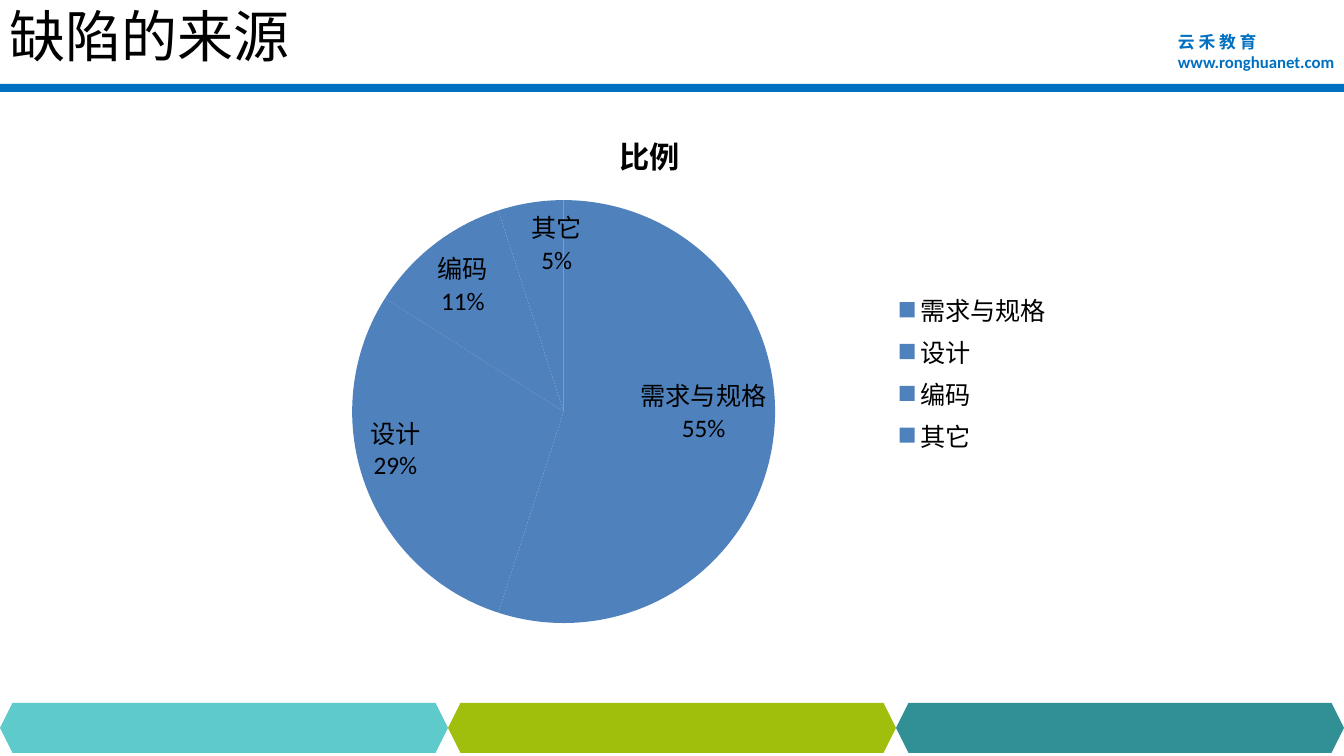
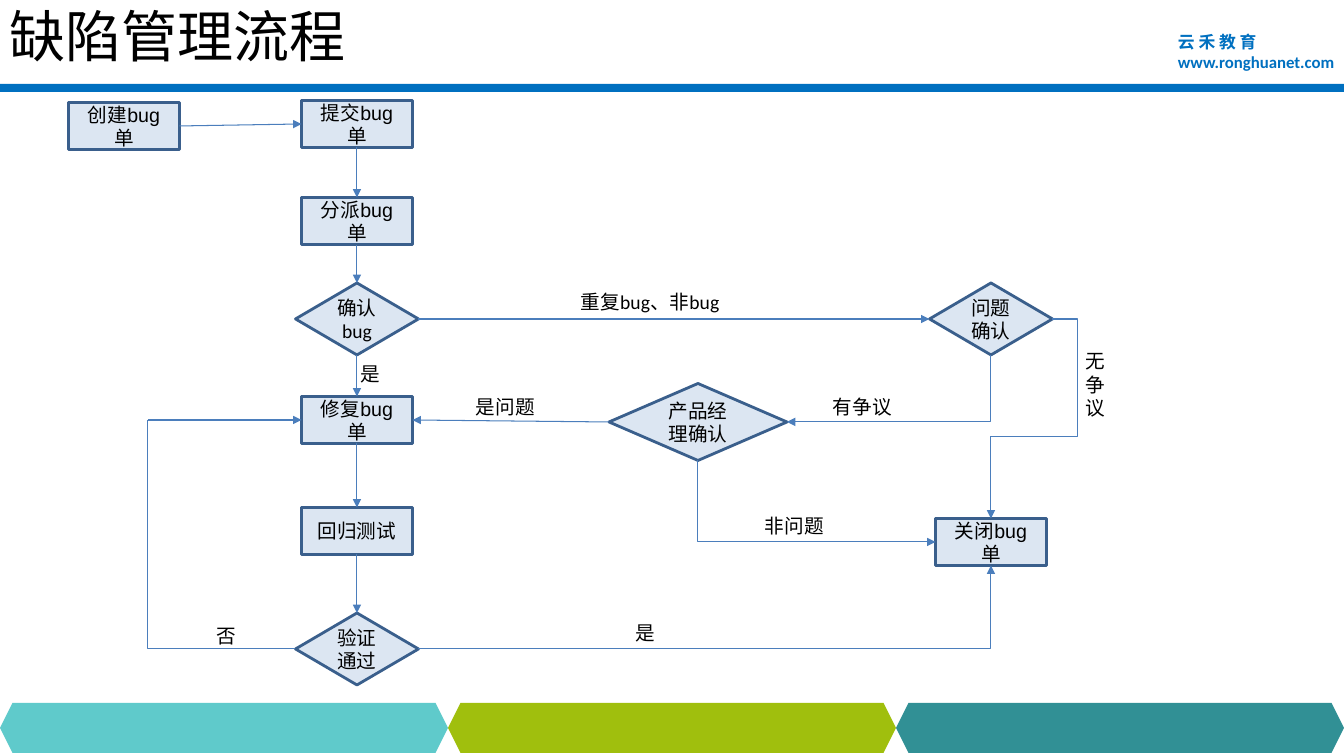
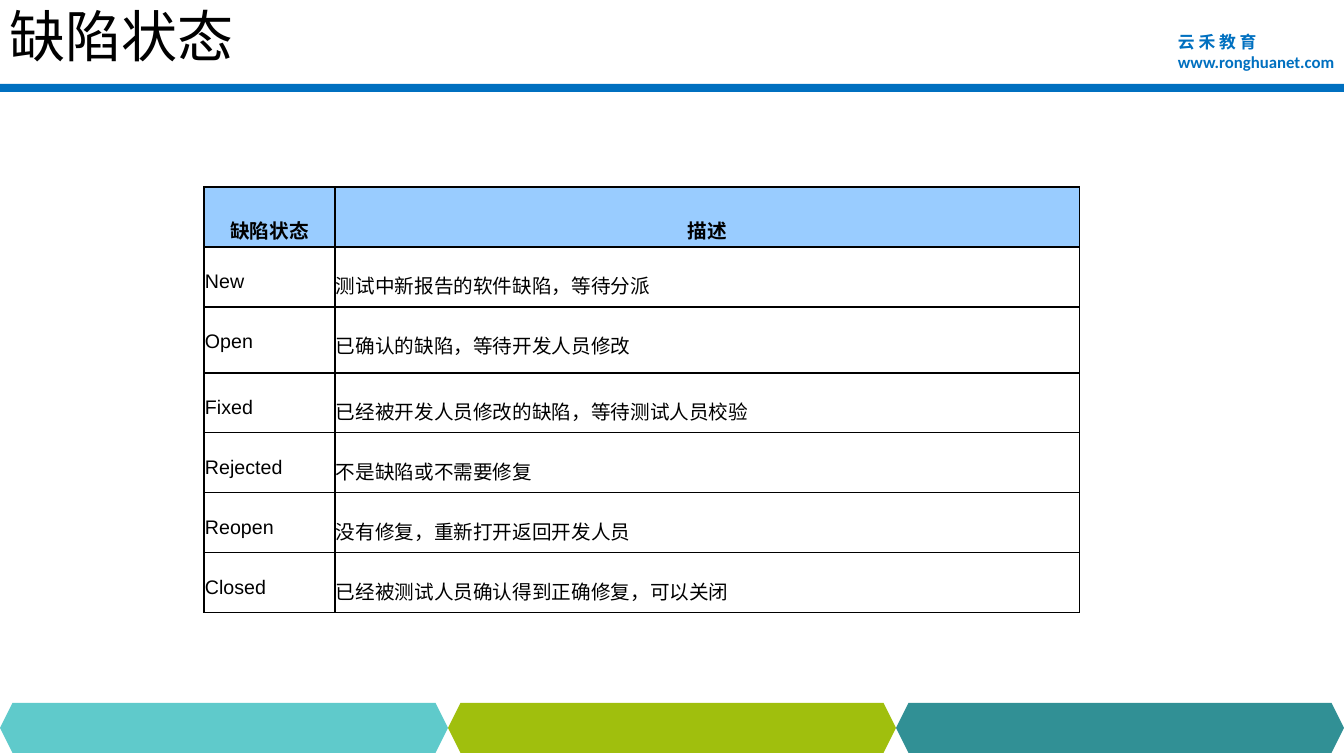
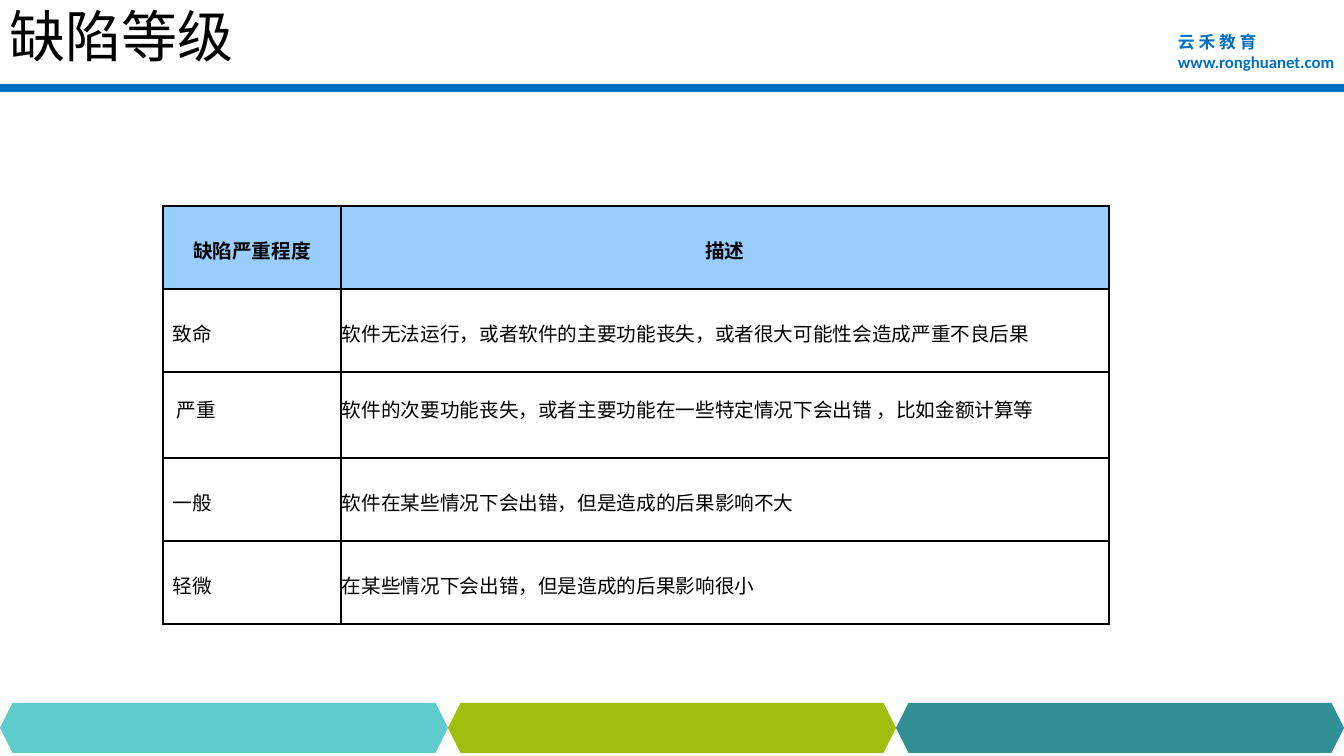
from lxml.etree import SubElement
from pptx import Presentation
from pptx.chart.data import CategoryChartData
from pptx.dml.color import RGBColor
from pptx.enum.chart import (XL_CHART_TYPE as Chart, XL_LABEL_POSITION as Spot,
                             XL_LEGEND_POSITION as Side)
from pptx.enum.shapes import MSO_CONNECTOR as Link, MSO_SHAPE as Shape
from pptx.enum.text import MSO_ANCHOR as Anchor, PP_ALIGN as Align
from pptx.oxml.ns import qn
from pptx.util import Emu, Pt

SCALE = 914400 / 100.8
WIDE, HIGH = 1344, 756
BLACK, BLUE = "000000", "0070C0"
NODE, EDGE, WIRE = "DCE6F2", "3A5F8C", "4B7EBC"
HEAD, SLICE = "99CCFF", "4F81BD"
FOOT = ["5FCACB", "A0BF0D", "319095"]
LATIN, SANS, HAN = "Arial", "Calibri", "Noto Sans CJK SC"

BRAND = [("云 禾 教 育", HAN), ("www.ronghuanet.com", SANS)]

SHARE = {"需求与规格": 55, "设计": 29, "编码": 11, "其它": 5}

# Node: text, centre x, centre y
BOXES = {
    "create": ("创建bug单", 124, 126),
    "submit": ("提交bug单", 357, 124),
    "assign": ("分派bug单", 357, 221),
    "fix": ("修复bug单", 357, 420),
    "retest": ("回归测试", 357, 531),
    "close": ("关闭bug单", 991, 542),
}
# Node: text, centre x, centre y, width, height
GEMS = {
    "check": ("确认bug", 357, 319, 123, 72),
    "review": ("问题确认", 991, 319, 123, 72),
    "judge": ("产品经理确认", 698, 422, 178, 77),
    "verify": ("验证通过", 357, 649, 123, 72),
}
TOP, LEFT, BOTTOM, RIGHT = range(4)
LOOP = (148, 420)
# Start, end
LINES = [
    (("create", RIGHT), ("submit", LEFT)),
    (("submit", BOTTOM), ("assign", TOP)),
    (("assign", BOTTOM), ("check", TOP)),
    (("check", BOTTOM), ("fix", TOP)),
    (("fix", BOTTOM), ("retest", TOP)),
    (("retest", BOTTOM), ("verify", TOP)),
    (("check", RIGHT), ("review", LEFT)),
    (("judge", LEFT), ("fix", RIGHT)),
    (LOOP, ("fix", LEFT)),
]
# Start, end, arrowhead, bends; each runs level first
ELBOWS = [
    (("judge", RIGHT), ("review", BOTTOM), "headEnd", []),
    (("close", LEFT), ("judge", BOTTOM), "headEnd", []),
    (("verify", RIGHT), ("close", BOTTOM), "tailEnd", []),
    (("verify", LEFT), LOOP, None, []),
    (("review", RIGHT), ("close", TOP), "tailEnd", [-41000, 59000]),
]
# Text, left, top, width
LABELS = [
    ("重复bug、非bug", 571, 285, 199),
    ("是", 351, 357, 55),
    ("无\n争\n议", 1076, 344, 80),
    ("有争议", 823, 390, 107),
    ("是问题", 466, 390, 96),
    ("非问题", 755, 509, 96),
    ("是", 626, 616, 96),
    ("否", 207, 619, 96),
]

# Row: height, text top, left inset, font, cells
STATES = [
    (60, 29, 1, HAN, "缺陷状态", "描述"),
    (60, 24, 1, LATIN, "New", "测试中新报告的软件缺陷，等待分派"),
    (66, 24, 1, LATIN, "Open", "已确认的缺陷，等待开发人员修改"),
    (60, 24, 1, LATIN, "Fixed", "已经被开发人员修改的缺陷，等待测试人员校验"),
    (60, 24, 1, LATIN, "Rejected", "不是缺陷或不需要修复"),
    (60, 24, 1, LATIN, "Reopen", "没有修复，重新打开返回开发人员"),
    (60, 24, 1, LATIN, "Closed", "已经被测试人员确认得到正确修复，可以关闭"),
]
LEVELS = [
    (83, 30, 1, HAN, "缺陷严重程度", "描述"),
    (83, 30, 10, HAN, "致命",
     "软件无法运行，或者软件的主要功能丧失，或者很大可能性会造成严重不良后果"),
    (86, 23, 14, HAN, "严重",
     "软件的次要功能丧失，或者主要功能在一些特定情况下会出错 ，比如金额计算等"),
    (83, 30, 10, HAN, "一般", "软件在某些情况下会出错，但是造成的后果影响不大"),
    (83, 30, 10, HAN, "轻微", "在某些情况下会出错，但是造成的后果影响很小"),
]


def px(*nums):
    """Turn px lengths into EMU."""
    return [Emu(round(n * SCALE)) for n in nums]


def rgb(code):
    return RGBColor.from_string(code)


def style(font, size, name, color=BLACK, bold=False):
    font.size, font.name, font.bold = Pt(size), name, bold
    font.color.rgb = rgb(color)


def write(frame, text, size, name, align=Align.LEFT, bold=False):
    frame.text = text
    for para in frame.paragraphs:
        para.alignment = align
        for run in para.runs:
            style(run.font, size, name, bold=bold)


def add_text(slide, text, box, size, name):
    frame = slide.shapes.add_textbox(*px(*box)).text_frame
    frame.word_wrap = True
    write(frame, text, size, name)
    return frame


def add_box(slide, kind, box, fill, edge=None):
    shape = slide.shapes.add_shape(kind, *px(*box))
    shape.shadow.inherit = False
    shape.fill.solid()
    shape.fill.fore_color.rgb = rgb(fill)
    if edge:
        shape.line.color.rgb = rgb(edge)
        shape.line.width = Pt(2)
    else:
        shape.line.fill.background()
    return shape


def add_page(deck, title):
    """Add a slide with the shared title, band, brand and footer."""
    slide = deck.slides.add_slide(deck.slide_layouts[6])
    add_box(slide, Shape.RECTANGLE, (0, 84, WIDE, 8), BLUE)
    frame = add_text(slide, "\n".join(t for t, _ in BRAND),
                     (1168, 27, 176, 50), 12, SANS)
    frame.margin_right = 0
    for para, (_, name) in zip(frame.paragraphs, BRAND):
        style(para.runs[0].font, 12, name, BLUE, True)
    step = WIDE // len(FOOT)
    for i, color in enumerate(FOOT):
        add_box(slide, Shape.HEXAGON, (i * step, 703, step, 50), color)
    frame = add_text(slide, title, (0, 0, 1008, 71), 40, LATIN)
    frame.vertical_anchor = Anchor.MIDDLE
    return slide


def add_pie(slide):
    data = CategoryChartData()
    data.categories = list(SHARE)
    data.add_series("比例", list(SHARE.values()))
    chart = slide.shapes.add_chart(
        Chart.PIE, *px(236, 108, 827, 529), data).chart
    style(chart.font, 18, SANS)
    chart.has_title = True
    write(chart.chart_title.text_frame, "比例", 21.6, SANS, Align.CENTER, True)
    chart.has_legend = True
    chart.legend.position = Side.RIGHT
    chart.legend.include_in_layout = False
    style(chart.legend.font, 18, SANS)
    plot = chart.plots[0]
    plot.vary_by_categories = False
    pie = plot.series[0]
    pie.format.fill.solid()
    pie.format.fill.fore_color.rgb = rgb(SLICE)
    tags = pie.data_labels
    style(tags.font, 18, SANS)
    tags.number_format, tags.number_format_is_linked = "0%", False
    tags.show_value = False
    tags.show_category_name = tags.show_percentage = True
    tags.position = Spot.INSIDE_END
    root = tags._element
    gap = SubElement(root, qn("c:separator"))
    gap.text = "\n"
    root.find(qn("c:showBubbleSize")).addnext(gap)


def add_line(slide, nodes, start, end, tip="tailEnd", bends=None):
    """Join two node sides or points; a list of bends makes an elbow."""
    kind = Link.STRAIGHT if bends is None else Link.ELBOW
    spots = []
    for name, side in (start, end):
        if name in nodes:
            n = nodes[name]
            dx, dy = [(0, -1), (-1, 0), (0, 1), (1, 0)][side]
            spots += [n.left + n.width * (1 + dx) // 2,
                      n.top + n.height * (1 + dy) // 2]
        else:
            spots += px(name, side)
    line = slide.shapes.add_connector(kind, *spots)
    if start[0] in nodes:
        line.begin_connect(nodes[start[0]], start[1])
    if end[0] in nodes:
        line.end_connect(nodes[end[0]], end[1])
    line.line.color.rgb = rgb(WIRE)
    line.line.width = Pt(0.75)
    prop = line._element.spPr
    if tip:
        SubElement(prop.find(qn("a:ln")), qn("a:" + tip), type="triangle")
    SubElement(prop, qn("a:effectLst"))
    if bends is not None:
        geom = prop.find(qn("a:prstGeom"))
        geom.set("prst", f"bentConnector{2 + len(bends)}")
        guides = geom.find(qn("a:avLst"))
        for i, bend in enumerate(bends, 1):
            SubElement(guides, qn("a:gd"), name=f"adj{i}", fmla=f"val {bend}")


def add_flow(slide):
    specs = [(key, Shape.RECTANGLE, LATIN, *box, 111, 47)
             for key, box in BOXES.items()]
    specs += [(key, Shape.DIAMOND, SANS, *gem) for key, gem in GEMS.items()]
    nodes = {}
    for key, kind, name, text, x, y, w, h in specs:
        node = add_box(slide, kind, (x - w / 2, y - h / 2, w, h), NODE, EDGE)
        node.text_frame.vertical_anchor = Anchor.MIDDLE
        write(node.text_frame, text, 14, name, Align.CENTER)
        nodes[key] = node
    for line in LINES + ELBOWS:
        add_line(slide, nodes, *line)
    for text, x, y, w in LABELS:
        add_text(slide, text, (x, y, w, 34 + 24 * text.count("\n")), 14, SANS)


def add_borders(cell):
    prop = cell._tc.get_or_add_tcPr()
    for i, side in enumerate(("lnL", "lnR", "lnT", "lnB")):
        line = SubElement(prop, qn("a:" + side), w=str(Pt(1)))
        fill = SubElement(line, qn("a:solidFill"))
        SubElement(fill, qn("a:srgbClr"), val=BLACK)
        prop.insert(i, line)


def add_grid(slide, rows, x, y, cols):
    size = px(x, y, sum(cols), sum(row[0] for row in rows))
    grid = slide.shapes.add_table(len(rows), len(cols), *size).table
    grid.first_row = grid.horz_banding = False
    for col, wide in zip(grid.columns, px(*cols)):
        col.width = wide
    for r, (high, top, inset, name, *texts) in enumerate(rows):
        grid.rows[r].height = px(high)[0]
        for c, text in enumerate(texts):
            cell = grid.cell(r, c)
            (cell.margin_left, cell.margin_right, cell.margin_top,
             cell.margin_bottom) = px(1 if c else inset, 1, top, 0)
            write(cell.text_frame, text, 14, name,
                  Align.LEFT if r else Align.CENTER, r == 0)
            if r:
                cell.fill.background()
            else:
                cell.fill.solid()
                cell.fill.fore_color.rgb = rgb(HEAD)
            add_borders(cell)


def main():
    deck = Presentation()
    deck.slide_width, deck.slide_height = px(WIDE, HIGH)
    add_pie(add_page(deck, "缺陷的来源"))
    add_flow(add_page(deck, "缺陷管理流程"))
    add_grid(add_page(deck, "缺陷状态"), STATES, 204, 187, (131, 745))
    add_grid(add_page(deck, "缺陷等级"), LEVELS, 163, 206, (178, 768))
    deck.save("out.pptx")


if __name__ == "__main__":
    main()
